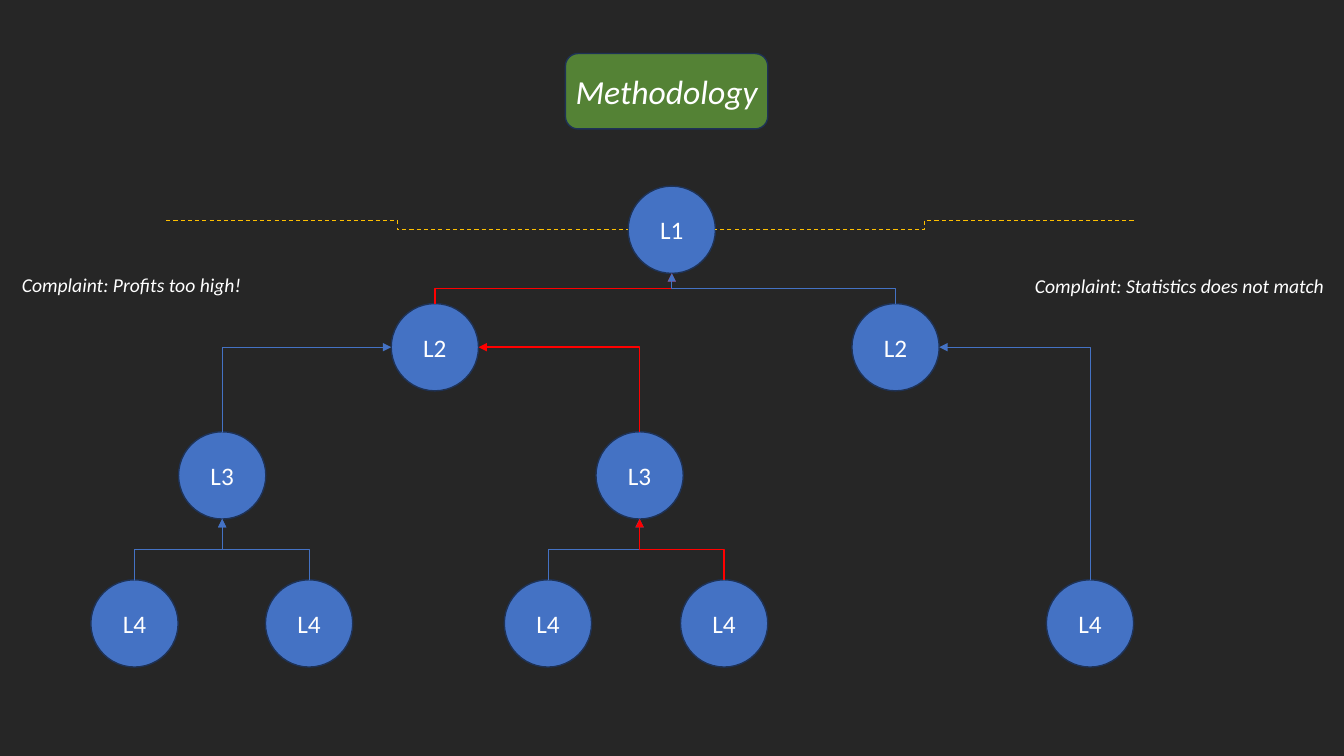
from lxml.etree import SubElement
from pptx import Presentation
from pptx.dml.color import RGBColor
from pptx.enum.dml import MSO_LINE as Dash
from pptx.enum.shapes import MSO_CONNECTOR as Link, MSO_SHAPE as Shape
from pptx.enum.text import MSO_ANCHOR as Anchor, MSO_AUTO_SIZE as Fit, PP_ALIGN as Align
from pptx.oxml.ns import qn
from pptx.util import Cm, Pt

COLORS = {
    "page": "262626",
    "plate": "548235",
    "node": "4472C4",
    "outline": "1E3256",
    "text": "FFFFFF",
    "flagged": "FF0000",
    "complaint": "FFC000",
}
RADIUS = 1.1
LEVEL_Y = {1: 5.79, 2: 8.75, 3: 11.98, 4: 15.71}
NODES = {
    "top": (1, 16.93),
    "left": (2, 10.96),
    "right": (2, 22.57),
    "left outer": (3, 5.6),
    "left inner": (3, 16.12),
    "leaf 1": (4, 3.39),
    "leaf 2": (4, 7.79),
    "leaf 3": (4, 13.81),
    "leaf 4": (4, 18.25),
    "leaf 5": (4, 27.47),
}
LINKS = [
    ("left", "top", True),
    ("right", "top", False),
    ("left outer", "left", False),
    ("left inner", "left", True),
    ("leaf 1", "left outer", False),
    ("leaf 2", "left outer", False),
    ("leaf 3", "left inner", False),
    ("leaf 4", "left inner", True),
    ("leaf 5", "right", False),
]
COMPLAINTS = [
    ("Complaint: Profits too high!", 0.3, 6.74, 6.1),
    ("Complaint: Statistics does not match", 25.83, 6.77, 8.0),
]


def color(name):
    return RGBColor.from_string(COLORS[name])


def center(name):
    level, x = NODES[name]
    return x, LEVEL_Y[level]


class TreeSlide:
    def __init__(self, deck):
        self.page = deck.slides.add_slide(deck.slide_layouts[5])
        self.shapes = self.page.shapes
        fill = self.page.background.fill
        fill.solid()
        fill.fore_color.rgb = color("page")

    def label(self, box, text, size, align=Align.LEFT, italic=True, **frame_format):
        frame = box.text_frame
        for key, value in frame_format.items():
            setattr(frame, key, value)
        para = frame.paragraphs[0]
        para.alignment = align
        span = para.add_run()
        span.text = text
        for key, value in {"name": "Calibri", "size": Pt(size), "italic": italic}.items():
            setattr(span.font, key, value)
        span.font.color.rgb = color("text")

    def panel(self, kind, fill, left, top, width, height):
        shape = self.shapes.add_shape(kind, Cm(left), Cm(top), Cm(width), Cm(height))
        shape.shadow.inherit = False
        shape.fill.solid()
        shape.fill.fore_color.rgb = color(fill)
        shape.line.color.rgb = color("outline")
        shape.line.width = Pt(1)
        return shape

    def heading(self, text):
        plate = self.panel(Shape.ROUNDED_RECTANGLE, "plate", 14.25, 1.35, 5.1, 1.9)
        title = self.shapes.title
        place = {"left": 14.25, "top": 1.65, "width": 5.38, "height": 1.28}
        for key, value in place.items():
            setattr(title, key, Cm(value))
        self.label(title, text, 24, word_wrap=False, vertical_anchor=Anchor.TOP,
                   auto_size=Fit.SHAPE_TO_FIT_TEXT)
        plate.element.addnext(title.element)

    def node(self, name):
        x, y = center(name)
        circle = self.panel(Shape.OVAL, "node", x - RADIUS, y - RADIUS, 2 * RADIUS, 2 * RADIUS)
        self.label(circle, f"L{NODES[name][0]}", 18, Align.CENTER, False,
                   vertical_anchor=Anchor.MIDDLE)

    def note(self, text, left, top, width):
        box = self.shapes.add_textbox(Cm(left), Cm(top), Cm(width), Cm(0.86))
        self.label(box, text, 14, word_wrap=False, auto_size=Fit.SHAPE_TO_FIT_TEXT)

    def elbow(self, start, end, stroke, width, dash=None, arrow=False):
        points = [Cm(value) for value in (*start, *end)]
        connector = self.shapes.add_connector(Link.ELBOW, *points)
        connector.line.color.rgb = color(stroke)
        connector.line.width = Pt(width)
        connector.line.dash_style = dash
        properties = connector.element.spPr
        if arrow:
            SubElement(properties.find(qn("a:ln")), qn("a:tailEnd"), type="triangle")
        SubElement(properties, qn("a:effectLst"))
        return connector

    def link(self, child, parent, flagged):
        (x1, y1), (x2, y2) = center(child), center(parent)
        to_right = x2 > x1
        to_side = NODES[parent][0] == 2
        y1 -= RADIUS
        if to_side:
            x2 += -RADIUS if to_right else RADIUS
        else:
            y2 += RADIUS
        stroke, width = ("flagged", 1) if flagged else ("node", 0.5)
        connector = self.elbow((x1, y1), (x2, y2), stroke, width, arrow=True)
        across, rise = abs(x2 - x1), y1 - y2
        place = {"left": (x1 + x2 - rise) / 2, "top": (y1 + y2 - across) / 2,
                 "width": rise, "height": across}
        for key, value in place.items():
            setattr(connector, key, Cm(value))
        frame = connector.element.spPr.find(qn("a:xfrm"))
        degrees = 90 if to_right else 270
        turn = {"rot": degrees * 60000, "flipH": int(to_right), "flipV": 1}
        for key, value in turn.items():
            frame.set(key, str(value))
        if to_side:
            connector.element.spPr.find(qn("a:prstGeom")).set("prst", "bentConnector2")


def main():
    deck = Presentation()
    deck.slide_width, deck.slide_height = Cm(33.87), Cm(19.05)
    slide = TreeSlide(deck)
    slide.heading("Methodology")
    for name in NODES:
        slide.node(name)
    for link in LINKS:
        slide.link(*link)
    for complaint in COMPLAINTS:
        slide.note(*complaint)
    x, y = center("top")
    for outer, inner in ((4.19, x - RADIUS), (28.57, x + RADIUS)):
        slide.elbow((outer, 5.55), (inner, y), "complaint", 0.75, Dash.DASH)
    deck.save("out.pptx")


if __name__ == "__main__":
    main()
